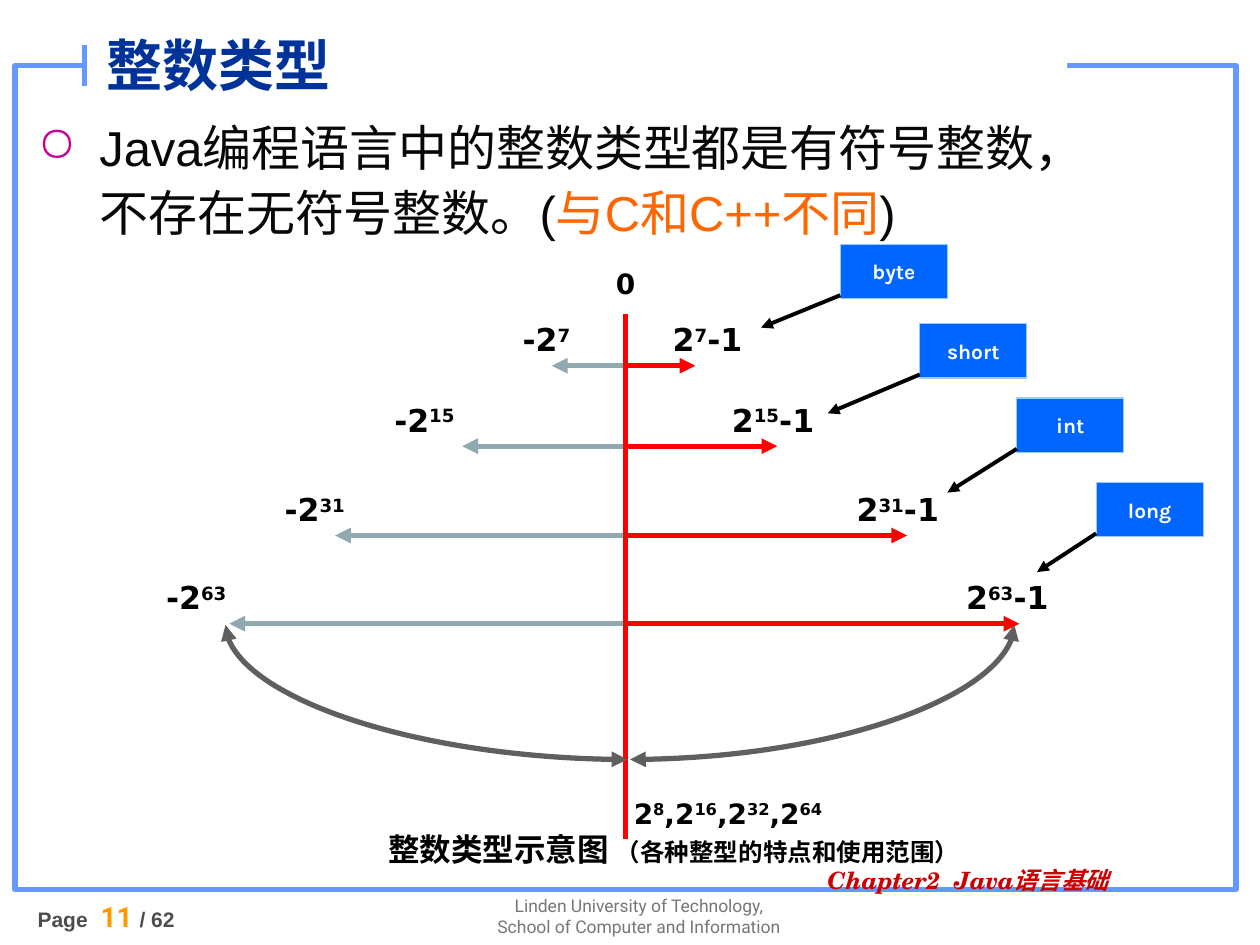
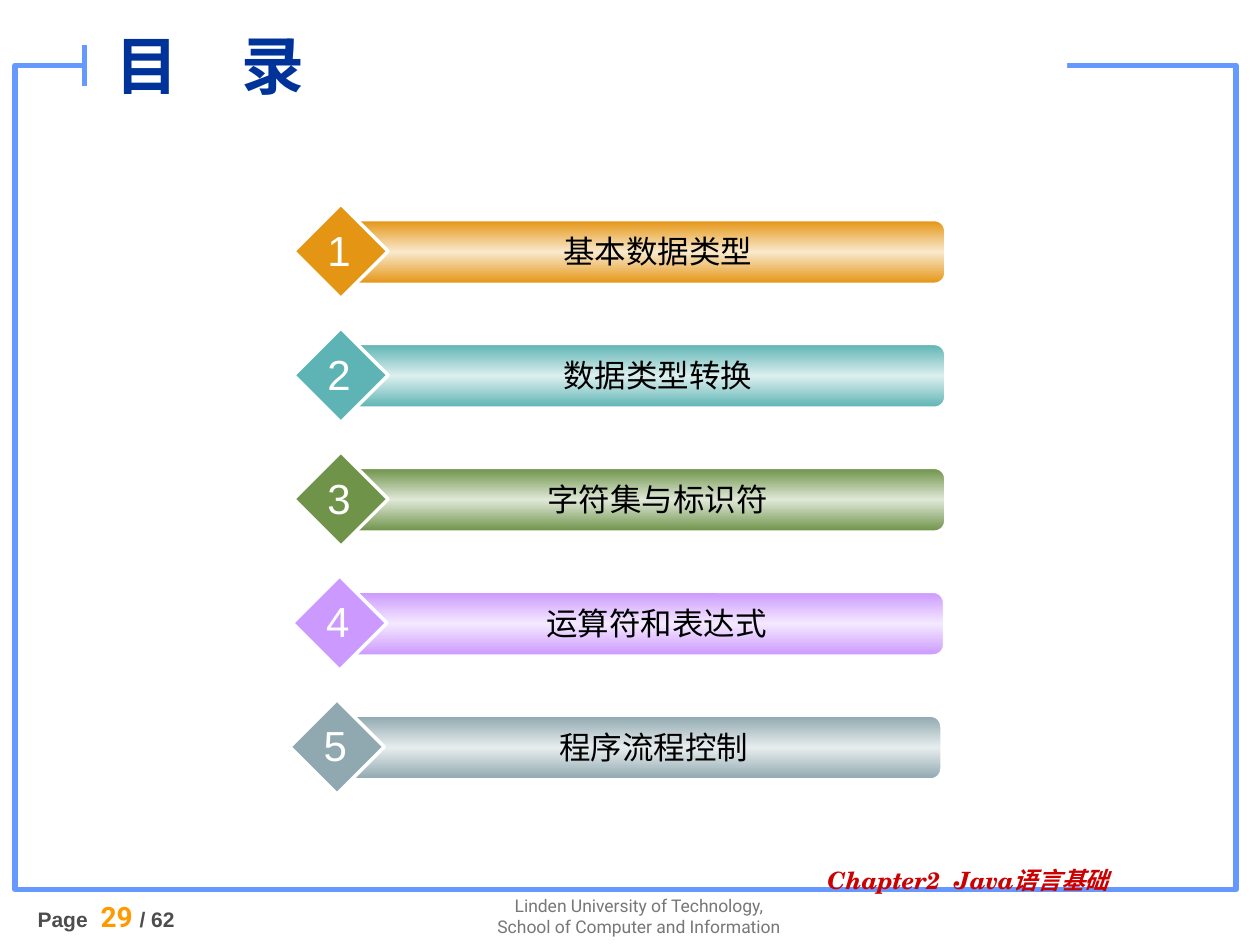
from dataclasses import dataclass
from typing import NamedTuple

import pptx
import pptx.dml.color
import pptx.enum.shapes
import pptx.enum.text
import pptx.oxml
import pptx.oxml.ns
import pptx.util
from lxml import etree

Pt = pptx.util.Pt
qn = pptx.oxml.ns.qn
SHAPES = pptx.enum.shapes.MSO_SHAPE
CONNECTORS = pptx.enum.shapes.MSO_CONNECTOR
ALIGN = pptx.enum.text.PP_ALIGN
ANCHOR = pptx.enum.text.MSO_ANCHOR

COLORS = {
    "frame": "6699FF", "white": "FFFFFF", "black": "000000", "title": "003399",
    "body": "080808", "accent": "FF6600", "bullet": "CC0099", "school": "777777",
    "page": "4D4D4D", "page_number": "FF9900", "chapter": "CC0000",
    "positive": "FF0000", "negative": "90A8B0", "wrap_around": "5F5F5F",
    "tag": "0066FF", "tag_line": "99CCFF",
    "orange": "E49514", "orange_light": "F9E9CD",
    "teal": "5EB4B4", "teal_light": "DDEFEF",
    "green": "6E9349", "green_light": "E0E8D8",
    "violet": "CC99FF", "violet_light": "F4E9FF",
    "gray": "90A8B0", "gray_light": "E7EDEE",
}
CJK_FONT = "Noto Sans CJK SC"
MATH_FONT = "DejaVu Sans"
PAGE_TOTAL = 62
AXIS_X = 357.5
AXIS_TOP, AXIS_BOTTOM = 179.3, 479.5
WRAP_Y = 434


class Box(NamedTuple):
    left: float
    top: float
    width: float
    height: float


class Point(NamedTuple):
    x: float
    y: float


@dataclass
class IntegerType:
    name: str
    bits: int
    y: float
    low_x: float
    high_x: float
    low_label_x: float
    high_label_x: float
    tag: Point
    pointer_tip: Point


@dataclass
class Topic:
    title: str
    color: str
    shift: float = 0


INTEGER_TYPES = [
    IntegerType("byte", 8, 209, 315.4, 397.4, 291.6, 377.3,
                Point(480.2, 139.7), Point(434.9, 187.2)),
    IntegerType("short", 16, 255, 264.2, 444.2, 218.2, 411.1,
                Point(525.6, 185), Point(473, 236.2)),
    IntegerType("int", 32, 306, 191.5, 518.4, 155.5, 482.4,
                Point(581, 227.5), Point(541.4, 281.5)),
    IntegerType("long", 64, 356.4, 131, 582.5, 87.8, 545,
                Point(626.4, 275.8), Point(592.6, 326.9)),
]
TOPICS = [
    Topic("基本数据类型", "orange"),
    Topic("数据类型转换", "teal"),
    Topic("字符集与标识符", "green"),
    Topic("运算符和表达式", "violet", -0.7),
    Topic("程序流程控制", "gray", -2.2),
]


def rgb(color: str) -> pptx.dml.color.RGBColor:
    return pptx.dml.color.RGBColor.from_string(COLORS[color])


def add_text(paragraph, text: str, *, size: float, color: str = "black",
             font: str = "Arial", bold: bool = False, italic: bool = False) -> None:
    """Append text to a paragraph; parts between ^ marks are superscript."""
    for index, part in enumerate(text.split("^")):
        if not part:
            continue
        run = paragraph.add_run()
        run.text = part
        run.font.size = Pt(size)
        run.font.name = font
        run.font.bold = bold
        run.font.italic = italic
        run.font.color.rgb = rgb(color)
        properties = run.font._element
        etree.SubElement(properties, qn("a:ea"), typeface=CJK_FONT)
        if index % 2:
            properties.set("baseline", "30000")


def add_frame(slide, box: Box, *, wrap: bool = True, anchor=ANCHOR.TOP):
    """Add an empty text box and return its text frame."""
    frame = slide.shapes.add_textbox(*map(Pt, box)).text_frame
    frame.word_wrap = wrap
    frame.vertical_anchor = anchor
    return frame


def add_label(slide, box: Box, text: str, *, align=ALIGN.LEFT,
              wrap: bool = True, anchor=ANCHOR.TOP, **text_format):
    """Add a text box with one paragraph and return the paragraph."""
    paragraph = add_frame(slide, box, wrap=wrap, anchor=anchor).paragraphs[0]
    paragraph.alignment = align
    add_text(paragraph, text, **text_format)
    return paragraph


def add_block(slide, kind, box: Box, *, fill: str = "", line: str = "", width: float = 1):
    block = slide.shapes.add_shape(kind, *map(Pt, box))
    block.shadow.inherit = False
    if fill:
        block.fill.solid()
        block.fill.fore_color.rgb = rgb(fill)
    else:
        block.fill.background()
    if line:
        block.line.color.rgb = rgb(line)
        block.line.width = Pt(width)
    else:
        block.line.fill.background()
    return block


def add_line(slide, start: Point, end: Point, color: str, *, width: float = 3,
             arrows: tuple[str, ...] = (), curved: bool = False) -> None:
    """Draw a line; arrows lists its arrow ends, headEnd (start) before tailEnd."""
    kind = CONNECTORS.CURVE if curved else CONNECTORS.STRAIGHT
    connector = slide.shapes.add_connector(kind, *map(Pt, start + end))
    connector.line.color.rgb = rgb(color)
    connector.line.width = Pt(width)
    properties = connector._element.spPr
    if curved:
        properties.find(qn("a:prstGeom")).set("prst", "curvedConnector2")
    for arrow in arrows:
        etree.SubElement(properties.find(qn("a:ln")), qn(f"a:{arrow}"), type="triangle")
    etree.SubElement(properties, qn("a:effectLst"))


def add_base_slide(deck, title: str, page: int, *, title_left: float, title_size: float):
    """Add a blank slide with the shared frame, footers and title."""
    slide = deck.slides.add_slide(deck.slide_layouts[6])
    add_block(slide, SHAPES.RECTANGLE, Box(8.6, 37.4, 697.7, 470.9), line="frame", width=3)
    add_block(slide, SHAPES.RECTANGLE, Box(48.2, 20.2, 561.6, 25.2), fill="white")

    school = add_frame(slide, Box(273.6, 507.6, 182.9, 43))
    for paragraph, text in (
        (school.paragraphs[0], "Linden University of Technology,"),
        (school.add_paragraph(), "School of Computer and Information"),
    ):
        paragraph.alignment = ALIGN.CENTER
        add_text(paragraph, text, size=10, font="Roboto", color="school")

    footer = add_label(slide, Box(14.4, 510.5, 130.3, 48), "Page ",
                       size=12, color="page", bold=True)
    footer.space_before = Pt(7.5)
    add_text(footer, " ", size=16, font="Roboto", color="page_number")
    add_text(footer, f"{page} ", size=16, font="Roboto", color="page_number", bold=True)
    add_text(footer, f"/ {PAGE_TOTAL}", size=12, color="page", bold=True)

    add_line(slide, Point(48.2, 25.9), Point(48.2, 49), "frame")
    chapter = add_label(slide, Box(465.8, 493.2, 221, 25.2), "Chapter2  Java语言基础",
                        size=13.6, font="TeX Gyre Schola", color="chapter",
                        bold=True, italic=True)
    chapter.line_spacing = 0.9
    add_label(slide, Box(title_left, 7.9, 487.4, 57.6), title, anchor=ANCHOR.MIDDLE,
              size=title_size, color="title", bold=True)
    return slide


def add_statement(slide) -> None:
    statement = add_label(slide, Box(14.4, 60.5, 686.2, 85),
                          "Java编程语言中的整数类型都是有符号整数，",
                          size=28, color="body")
    statement.add_line_break()
    add_text(statement, "不存在无符号整数。(", size=28, color="body")
    add_text(statement, "与C和C++不同", size=28, color="accent")
    add_text(statement, ")", size=28, color="body")
    statement.line_spacing = 1.1
    statement.space_before = Pt(7)
    properties = statement._p.get_or_add_pPr()
    properties.set("marL", str(Pt(35.3)))
    properties.set("indent", str(-Pt(35.3)))
    bullet_color = etree.SubElement(properties, qn("a:buClr"))
    etree.SubElement(bullet_color, qn("a:srgbClr"), val=COLORS["bullet"])
    etree.SubElement(properties, qn("a:buChar"), char="○")


def add_range(slide, kind: IntegerType) -> None:
    """Draw the value range of one integer type with its limits and name tag."""
    zero = Point(AXIS_X, kind.y)
    exponent = kind.bits - 1
    for tip_x, color, label_x, label in (
        (kind.high_x, "positive", kind.high_label_x, f"2^{exponent}^-1"),
        (kind.low_x, "negative", kind.low_label_x, f"-2^{exponent}^"),
    ):
        add_line(slide, zero, Point(tip_x, kind.y), color, arrows=("tailEnd",))
        add_label(slide, Box(label_x, kind.y - 29.5, 76, 28.8), label,
                  size=18, font=MATH_FONT, bold=True)

    tag = add_block(slide, SHAPES.RECTANGLE, Box(*kind.tag, 61.2, 31),
                    fill="tag", line="tag_line", width=0.75).text_frame
    tag.word_wrap = False
    tag.vertical_anchor = ANCHOR.MIDDLE
    tag.paragraphs[0].alignment = ALIGN.CENTER
    add_text(tag.paragraphs[0], kind.name, size=12, font="Karla", color="white", bold=True)
    add_line(slide, Point(kind.tag.x, kind.tag.y + 29), kind.pointer_tip, "black",
             width=2.25, arrows=("tailEnd",))


def build_integer_types(deck) -> None:
    slide = add_base_slide(deck, "整数类型", 11, title_left=54, title_size=32)
    add_statement(slide)
    add_label(slide, Box(344.9, 149, 23, 26.6), "0", wrap=False,
              size=16, font=MATH_FONT, bold=True)
    for kind in INTEGER_TYPES:
        add_range(slide, kind)
    add_line(slide, Point(AXIS_X, AXIS_TOP), Point(AXIS_X, AXIS_BOTTOM), "positive")
    for center_x, tip_x in ((358.6, 128.9), (360, 579.6)):
        add_line(slide, Point(center_x, WRAP_Y), Point(tip_x, 357.1), "wrap_around",
                 arrows=("headEnd", "tailEnd"), curved=True)

    caption = add_frame(slide, Box(188.6, 451.4, 393.1, 48.2))
    sizes, summary = caption.paragraphs[0], caption.add_paragraph()
    sizes._p.get_or_add_pPr().set("marL", str(Pt(166.5)))
    add_text(sizes, ",".join(f"2^{kind.bits}^" for kind in INTEGER_TYPES),
             size=16, font=MATH_FONT, bold=True)
    summary.alignment = ALIGN.CENTER
    add_text(summary, "整数类型示意图 ", size=18, bold=True)
    add_text(summary, "（各种整型的特点和使用范围）", size=14, font=MATH_FONT, bold=True)


def fill_with_sheen(bar, color: str) -> None:
    """Fill with a vertical gradient that is light in the middle."""
    bar.fill.gradient()
    bar.fill.gradient_angle = 90
    stops = bar._element.spPr.find(qn("a:gradFill")).find(qn("a:gsLst"))
    for stop in list(stops):
        stops.remove(stop)
    for percent, shade in ((0, color), (50, f"{color}_light"), (100, color)):
        stop = etree.SubElement(stops, qn("a:gs"), pos=str(percent * 1000))
        etree.SubElement(stop, qn("a:srgbClr"), val=COLORS[shade])


def add_topic(slide, number: int, topic: Topic) -> None:
    top = 126 + 70.8 * (number - 1)
    bar = add_block(slide, SHAPES.ROUNDED_RECTANGLE, Box(198 + topic.shift, top, 342, 36),
                    line="white")
    fill_with_sheen(bar, topic.color)
    add_block(slide, SHAPES.DIAMOND, Box(167.8 + topic.shift, top - 9.4, 54, 54),
              fill=topic.color, line="white", width=2)
    add_label(slide, Box(216 + topic.shift, top + 3.2, 319.7, 28.8), topic.title,
              align=ALIGN.CENTER, size=18)
    add_label(slide, Box(180 + topic.shift, top - 1.4, 27.4, 36), str(number),
              align=ALIGN.CENTER, wrap=False, size=24, color="white")


def build_contents(deck) -> None:
    slide = add_base_slide(deck, "目　录", 29, title_left=59, title_size=36)
    for number, topic in enumerate(TOPICS, start=1):
        add_topic(slide, number, topic)


def main() -> None:
    deck = pptx.Presentation()
    deck.slide_width, deck.slide_height = Pt(720), Pt(540)
    build_integer_types(deck)
    build_contents(deck)
    deck.save("out.pptx")


if __name__ == "__main__":
    main()
